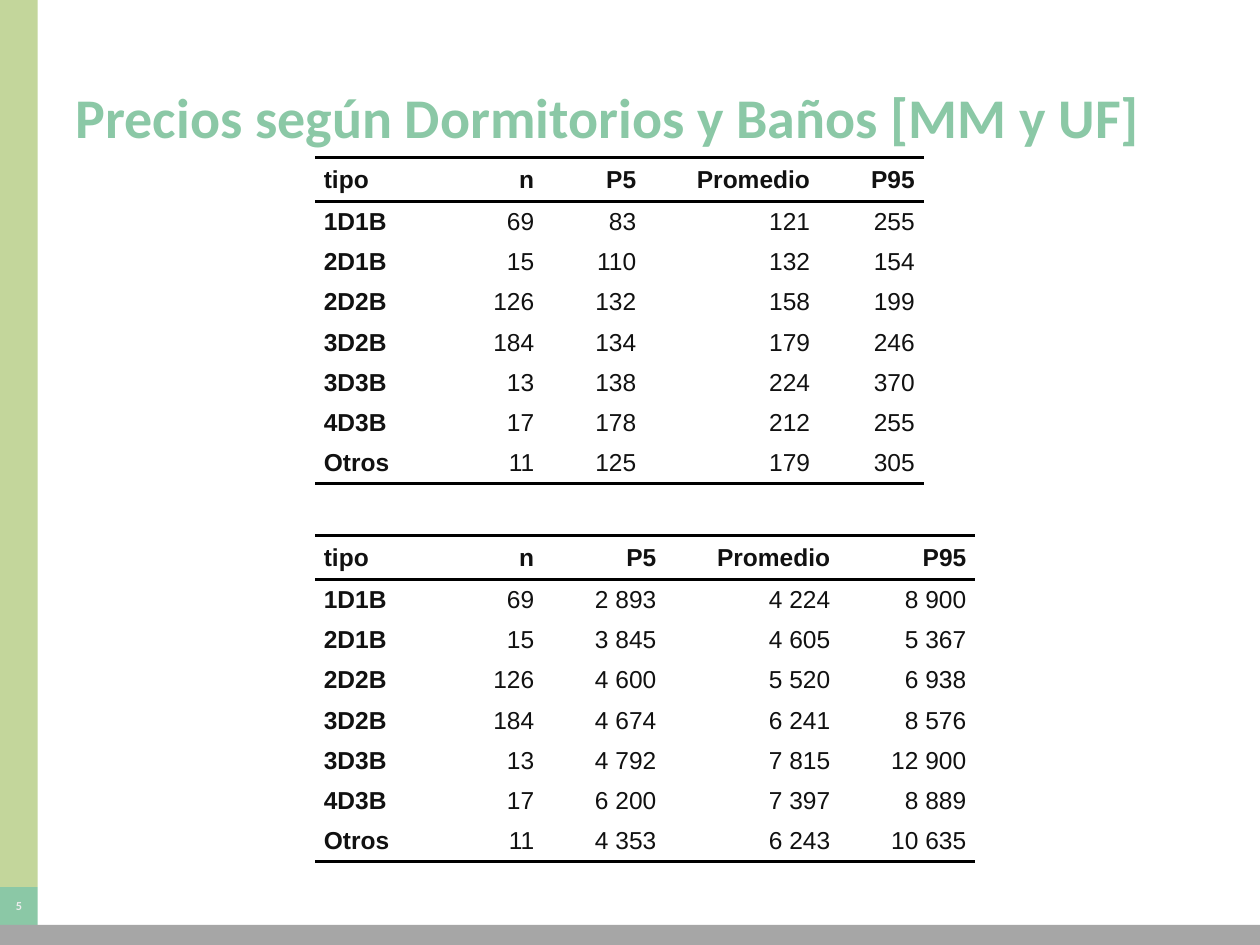
from lxml import etree
from pptx import Presentation
from pptx.dml.color import RGBColor
from pptx.enum.shapes import MSO_SHAPE
from pptx.enum.text import MSO_ANCHOR, PP_ALIGN
from pptx.oxml.ns import qn
from pptx.util import Inches, Pt

RECT = MSO_SHAPE.RECTANGLE
MID = MSO_ANCHOR.MIDDLE
LEFT, CENTER, RIGHT = PP_ALIGN.LEFT, PP_ALIGN.CENTER, PP_ALIGN.RIGHT
WIDE, HIGH = 10, 7.5
BAR, FOOT = 0.3, 0.16
GREEN, INK, BLACK = "8BC8A6", "111111", "000000"
PLAIN = "{2D5ABB26-0587-4C30-8999-92F81FD0307C}"
HEAD = ["tipo", "n", "P5", "Promedio", "P95"]
TYPES = [("1D1B", "69"), ("2D1B", "15"), ("2D2B", "126"), ("3D2B", "184"),
         ("3D3B", "13"), ("4D3B", "17"), ("Otros", "11")]
PESOS = [("83", "121", "255"), ("110", "132", "154"), ("132", "158", "199"),
         ("134", "179", "246"), ("138", "224", "370"), ("178", "212", "255"),
         ("125", "179", "305")]
UNITS = [("2 893", "4 224", "8 900"), ("3 845", "4 605", "5 367"),
         ("4 600", "5 520", "6 938"), ("4 674", "6 241", "8 576"),
         ("4 792", "7 815", "12 900"), ("6 200", "7 397", "8 889"),
         ("4 353", "6 243", "10 635")]


def color(code):
    """Turn a hex string into a colour."""
    return RGBColor.from_string(code)


def write(para, text, size, code, font, bold=True, align=LEFT):
    """Add one styled run to a paragraph."""
    para.alignment = align
    run = para.add_run()
    run.text = text
    run.font.size, run.font.name, run.font.bold = Pt(size), font, bold
    run.font.color.rgb = color(code)


def block(slide, x, y, w, h, code):
    """Draw a plain filled rectangle."""
    shape = slide.shapes.add_shape(RECT, *map(Inches, (x, y, w, h)))
    shape.shadow.inherit = False
    shape.fill.solid()
    shape.fill.fore_color.rgb = color(code)
    shape.line.fill.background()
    return shape


def frame(slide):
    """Draw the side bar, the page number and the foot bar."""
    top = HIGH - FOOT - BAR
    block(slide, 0, 0, BAR, top, "C3D69B")
    page = block(slide, 0, top, BAR, BAR, GREEN).text_frame
    page.margin_left = page.margin_right = 0
    page.margin_top = page.margin_bottom = 0
    page.vertical_anchor = MID
    write(page.paragraphs[0], "5", 7, "ECECEC", "Calibri", align=CENTER)
    block(slide, 0, HIGH - FOOT, WIDE, FOOT, "A6A6A6")


def title(slide, text):
    """Place and fill the title."""
    shape = slide.shapes.title
    shape.left, shape.top = Inches(0.5), Inches(0.3)
    shape.width, shape.height = Inches(WIDE - 1), Inches(1.25)
    shape.text_frame.vertical_anchor = MID
    write(shape.text_frame.paragraphs[0], text, 32, GREEN, "Calibri")


def rule(cell, tag):
    """Add a black rule to one side of a cell."""
    line = etree.SubElement(cell._tc.get_or_add_tcPr(), qn(tag), w=str(Pt(2)))
    fill = etree.SubElement(line, qn("a:solidFill"))
    etree.SubElement(fill, qn("a:srgbClr"), val=BLACK)


def fill_cell(cell, text, first, bold):
    """Format a cell and write its text."""
    cell.margin_left = cell.margin_right = 0
    cell.margin_top = cell.margin_bottom = 0
    cell.vertical_anchor = MID
    cell.fill.background()
    para = cell.text_frame.paragraphs[0]
    para.space_before = para.space_after = Pt(2)
    write(para, text, 14, INK, "Arial", bold, LEFT if first else RIGHT)
    props = para._p.get_or_add_pPr()
    for side in ("marL", "marR"):
        props.set(side, str(Inches(0.07)))
    props.set("indent", "0")


def prices(slide, y, widths, values):
    """Build a ruled price table."""
    rows = [HEAD] + [[*kind, *nums] for kind, nums in zip(TYPES, values)]
    highs = [0.35] + [0.32] * len(values)
    box = map(Inches, (2.5, y, sum(widths), sum(highs)))
    table = slide.shapes.add_table(len(rows), len(HEAD), *box).table
    table.first_row = table.horz_banding = False
    table._tbl.tblPr.find(qn("a:tableStyleId")).text = PLAIN
    for col, width in zip(table.columns, widths):
        col.width = Inches(width)
    for r, (row, high) in enumerate(zip(rows, highs)):
        table.rows[r].height = Inches(high)
        for c, text in enumerate(row):
            cell = table.cell(r, c)
            if r == 0:
                rule(cell, "a:lnT")
            if r in (0, len(values)):
                rule(cell, "a:lnB")
            fill_cell(cell, text, c == 0, r == 0 or c == 0)


def main():
    """Build and save the slide."""
    deck = Presentation()
    deck.slide_width, deck.slide_height = Inches(WIDE), Inches(HIGH)
    slide = deck.slides.add_slide(deck.slide_layouts[5])
    frame(slide)
    title(slide, "Precios según Dormitorios y Baños [MM y UF]")
    prices(slide, 1.25, [1, 0.81, 0.81, 1.38, 0.83], PESOS)
    prices(slide, 4.25, [1, 0.81, 0.97, 1.38, 1.08], UNITS)
    deck.save("out.pptx")


if __name__ == "__main__":
    main()
